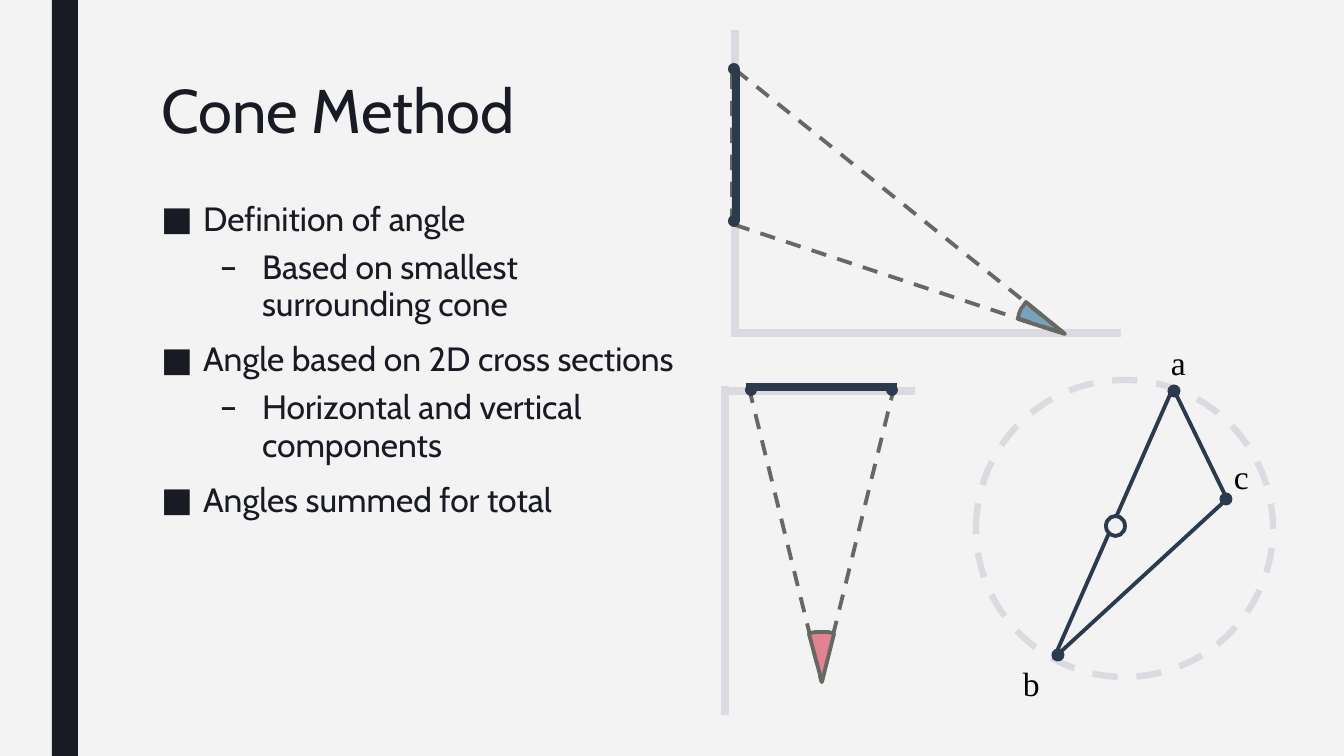
from lxml import etree
from pptx import Presentation
from pptx.dml.color import RGBColor
from pptx.enum.dml import MSO_LINE
from pptx.enum.shapes import MSO_CONNECTOR, MSO_SHAPE
from pptx.enum.text import MSO_ANCHOR, MSO_AUTO_SIZE, PP_ALIGN
from pptx.oxml.ns import qn
from pptx.util import Pt

DASH = MSO_LINE.DASH
OVAL, RECT, WEDGE = MSO_SHAPE.OVAL, MSO_SHAPE.RECTANGLE, MSO_SHAPE.ISOSCELES_TRIANGLE
LINE = MSO_CONNECTOR.STRAIGHT
TOP, LEFT, FIXED = MSO_ANCHOR.TOP, PP_ALIGN.LEFT, MSO_AUTO_SIZE.NONE
PX = 914400 / 100.8

THEME = {
    "back": "F3F3F3", "ink": "191B24", "hole": "F2F2F2", "navy": "2B3A4C",
    "wall": "DADAE0", "sight": "686863", "blue": "77A2BB", "rose": "E28394",
    "label": "000000", "font": "Cabin", "serif": "Times New Roman",
    "title": 44, "text": 24, "thin": 2.75, "ring": 4.5, "thick": 6,
}


def px(*nums):
    return [round(n * PX) for n in nums]


def paint(shape, fill=None, line=None, width="thin", dash=None):
    shape.shadow.inherit = False
    if fill:
        shape.fill.solid()
        shape.fill.fore_color.rgb = RGBColor.from_string(THEME[fill])
    else:
        shape.fill.background()
    if line:
        shape.line.color.rgb = RGBColor.from_string(THEME[line])
        shape.line.width = Pt(THEME[width])
        shape.line.dash_style = dash
    else:
        shape.line.fill.background()


deck = Presentation()
deck.slide_width, deck.slide_height = px(1344, 756)
slide = deck.slides.add_slide(deck.slide_layouts[1])
slide.background.fill.solid()
slide.background.fill.fore_color.rgb = RGBColor.from_string(THEME["back"])
shapes = slide.shapes

# Side bar
paint(shapes.add_shape(RECT, *px(52, 0, 26, 756)), "ink")

# Title
title = shapes.title
title.left, title.top, title.width, title.height = px(151, 76, 1058, 163)
frame = title.text_frame
frame.text = "Cone Method"
frame.vertical_anchor, frame.auto_size = TOP, FIXED
para = frame.paragraphs[0]
para.alignment, para.line_spacing = LEFT, 0.89
para.font.name, para.font.size = THEME["font"], Pt(THEME["title"])
para.font.color.rgb = RGBColor.from_string(THEME["ink"])

# Bullet list
body = slide.placeholders[1]
body.left, body.top, body.width, body.height = px(151, 196, 553, 395)
frame = body.text_frame
frame.vertical_anchor, frame.auto_size = TOP, FIXED
LEVELS = [(42, "■", 10), (101, "–", 5)]
points = [
    (0, "Definition of angle"),
    (1, "Based on smallest surrounding cone"),
    (0, "Angle based on 2D cross sections"),
    (1, "Horizontal and vertical components"),
    (0, "Angles summed for total"),
]
for i, (level, text) in enumerate(points):
    para = frame.add_paragraph() if i else frame.paragraphs[0]
    indent, mark, gap = LEVELS[level]
    para.text, para.level = text, level
    para.line_spacing, para.space_after = 0.94, Pt(2)
    para.space_before = Pt(gap if i else 0)
    props = para._p.get_or_add_pPr()
    props.set("marL", str(px(indent)[0]))
    props.set("indent", str(px(-42)[0]))
    etree.SubElement(props, qn("a:buFont")).set("typeface", THEME["font"])
    etree.SubElement(props, qn("a:buChar")).set("char", mark)
    para.font.name, para.font.size = THEME["font"], Pt(THEME["text"])
    para.font.color.rgb = RGBColor.from_string(THEME["ink"])

# Circle around the triangle
paint(shapes.add_shape(OVAL, *px(976, 380, 297, 297)), None, "wall", "ring", DASH)

# Walls
walls = [
    (735, 30, 735, 337), (1121, 333, 731, 333),
    (725, 386, 725, 715), (915, 391, 725, 391),
]
# Screens seen from the side and from above
screens = [(736, 221, 736, 69), (746, 387, 897, 387)]


# Walls lie below the sight lines, screens above them
wedge = None
for tone, group in (("wall", walls), ("navy", screens)):
    for ends in group:
        line = shapes.add_connector(LINE, *px(*ends))
        line.line.color.rgb = RGBColor.from_string(THEME[tone])
        line.line.width = Pt(THEME["thick"])
        etree.SubElement(line._element.spPr, qn("a:effectLst"))
    if wedge is None:
        # Sight lines from above
        wedge = shapes.add_shape(WEDGE, *px(749, 388, 145, 294))
        wedge._element.xpath("./p:spPr/a:xfrm")[0].set("flipV", "1")
        paint(wedge, None, "sight", dash=DASH)

        # Triangle, angle cones and side sight lines
        outlines = [
            ([(1054, 658), (1173, 388), (1227, 499)], None, "navy", None),
            ([(1026, 302), (1065, 334), (1018, 319), (1019, 314), (1021, 309),
              (1024, 305)], "blue", "sight", None),
            ([(732, 224), (732, 67), (1065, 334)], None, "sight", DASH),
            ([(822, 682), (809, 634), (811, 633), (816, 632), (828, 632),
              (832, 633), (834, 634)], "rose", "sight", None),
        ]
        for spots, fill, tone, dash in outlines:
            pen = shapes.build_freeform(*spots[0], scale=PX)
            pen.add_line_segments(spots[1:], close=True)
            paint(pen.convert_to_shape(), fill, tone, dash=dash)

# Corner dots, by centre and size
dots = [
    (1174, 391, 13), (1226, 499, 13), (1058, 655, 13),
    (734, 69, 12), (734, 221, 12), (751, 390, 12), (892, 390, 12),
]
for x, y, size in dots:
    paint(shapes.add_shape(OVAL, *px(x - size / 2, y - size / 2, size, size)), "navy")

# Centre of the circle
paint(shapes.add_shape(OVAL, *px(1106, 516, 19, 20)), "hole", "navy")

# Corner labels
for text, x, y in (("a", 1161, 337), ("b", 1013, 658), ("c", 1224, 451)):
    frame = shapes.add_textbox(*px(x, y, 41, 50)).text_frame
    frame.word_wrap = True
    frame.text = text
    font = frame.paragraphs[0].font
    font.name, font.size = THEME["serif"], Pt(THEME["text"])
    font.color.rgb = RGBColor.from_string(THEME["label"])

deck.save("out.pptx")
